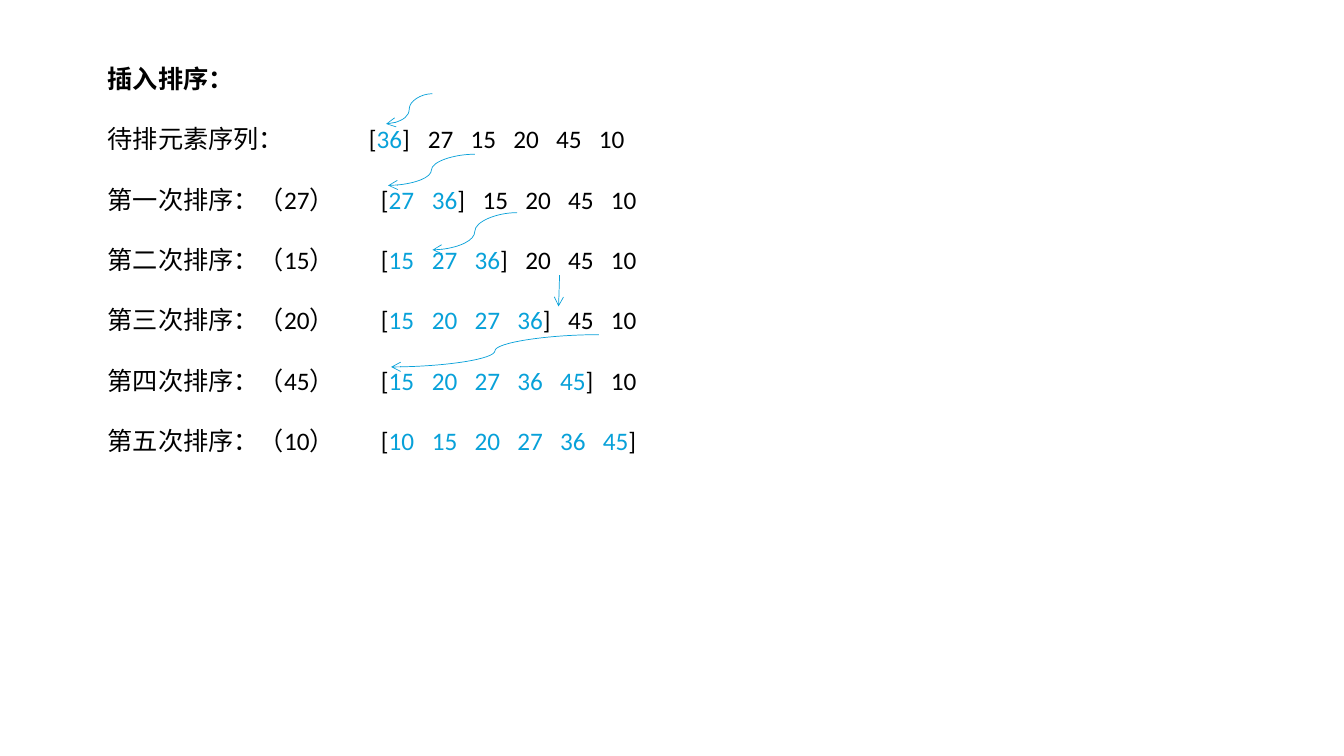
from lxml import etree
from pptx import Presentation
from pptx.dml.color import RGBColor
from pptx.enum.shapes import MSO_CONNECTOR
from pptx.oxml.ns import qn
from pptx.util import Inches, Pt

CURVE, STRAIGHT = MSO_CONNECTOR.CURVE, MSO_CONNECTOR.STRAIGHT
BLACK, BLUE = "000000", "08A1D9"
BOX_LEFT, INSET = 0.97, 0.1
BRACKET, PITCH = 0.08, 2.12 / 5  # bracket width, distance between numbers


def rgb(value):
    return RGBColor.from_string(value)


def add_run(p, text, color=BLACK, bold=False):
    r = p.add_run()
    r.text = text
    r.font.name = "Calibri"
    r.font.size = Pt(18)
    r.font.bold = bold
    r.font.color.rgb = rgb(color)


prs = Presentation()
prs.slide_width, prs.slide_height = Inches(13.33), Inches(7.5)
s = prs.slides.add_slide(prs.slide_layouts[6])

# Heading
box = s.shapes.add_textbox(Inches(BOX_LEFT), Inches(0.58), Inches(7.38), Inches(4.04))
tf = box.text_frame
tf.word_wrap = True
add_run(tf.paragraphs[0], "插入排序：", bold=True)

# Insertion sort steps: label, left edge of the bracket
numbers = [36, 27, 15, 20, 45, 10]
labels = [("待排元素序列：", 3.66)]
for ordinal, inserted in zip("一二三四五", numbers[1:]):
    labels.append((f"第{ordinal}次排序：（{inserted}）", 3.78))

for count, (label, left) in enumerate(labels, 1):
    p = tf.add_paragraph()
    p.space_before = Pt(21.5)
    done = "\t".join(str(n) for n in sorted(numbers[:count]))
    rest = "".join(f"\t{n}" for n in numbers[count:])
    add_run(p, f"{label}\t[")
    add_run(p, done, BLUE)
    add_run(p, "]" + rest)

    # Tab stops line up the bracket and every number after the first
    stops = [left]
    for i in range(1, len(numbers)):
        brackets = 1 if i < count else 2
        stops.append(left + i * PITCH + brackets * BRACKET)
    tabs = etree.SubElement(p._p.get_or_add_pPr(), qn("a:tabLst"))
    for stop in stops:
        pos = Inches(stop - BOX_LEFT - INSET)
        etree.SubElement(tabs, qn("a:tab"), pos=str(int(pos)), algn="l")

# Arrows from each inserted number to its new place
arrows = [
    (CURVE, 4.29, 0.93, 3.83, 1.23),
    (CURVE, 4.71, 1.53, 3.85, 1.84),
    (CURVE, 5.13, 2.11, 4.29, 2.48),
    (STRAIGHT, 5.55, 2.73, 5.54, 3.04),
    (CURVE, 5.94, 3.32, 3.88, 3.64),
]
for kind, *ends in arrows:
    arrow = s.shapes.add_connector(kind, *[Inches(v) for v in ends])
    arrow.line.color.rgb = rgb(BLUE)
    arrow.line.width = Pt(0.5)
    etree.SubElement(arrow.line._get_or_add_ln(), qn("a:tailEnd"), type="arrow")
    etree.SubElement(arrow._element.spPr, qn("a:effectLst"))

prs.save("out.pptx")
